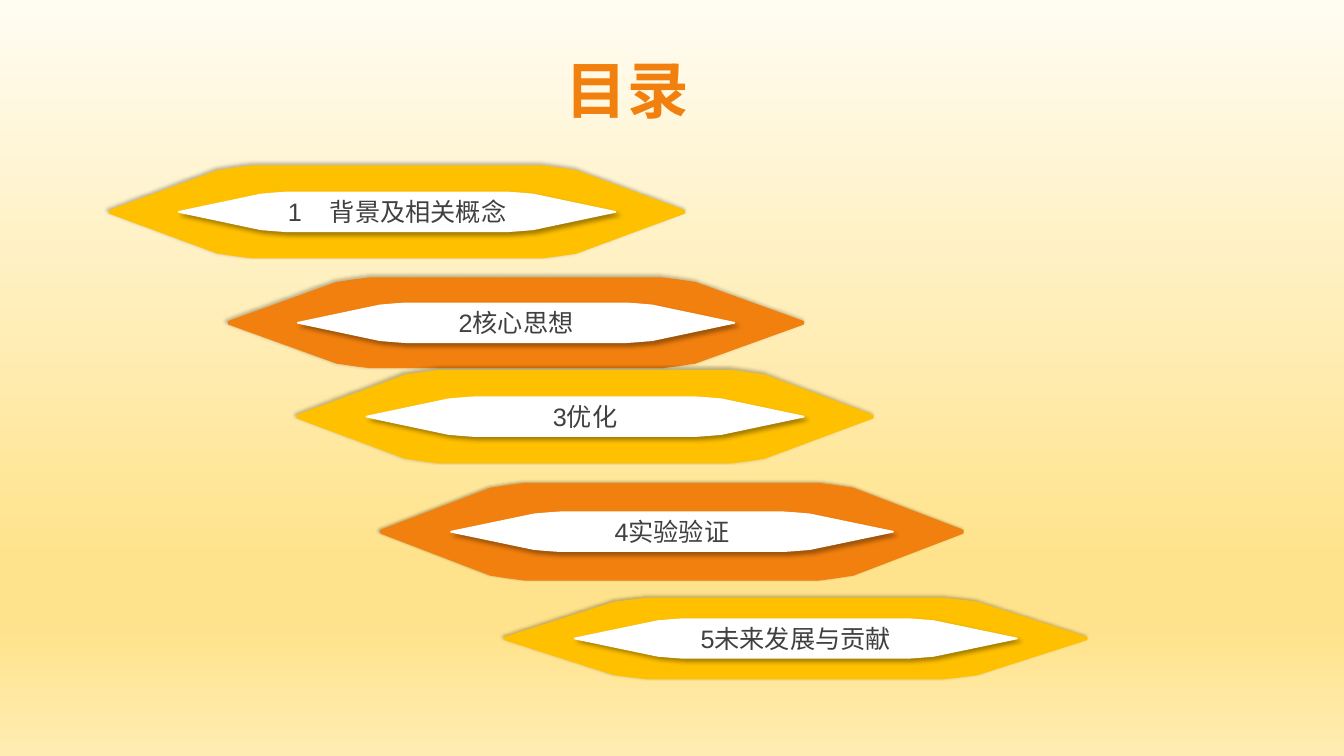
import pptx
import pptx.util
import pptx.dml.color
import pptx.enum.text
import pptx.oxml.ns
import lxml.etree

Cm, Pt = pptx.util.Cm, pptx.util.Pt
RGBColor = pptx.dml.color.RGBColor
qn = pptx.oxml.ns.qn
CENTER = pptx.enum.text.PP_ALIGN.CENTER
MIDDLE = pptx.enum.text.MSO_ANCHOR.MIDDLE

# Content
TITLE = "目录"
GOLD = RGBColor(0xFF, 0xC0, 0x00)
ORANGE = RGBColor(0xF2, 0x80, 0x0E)
WHITE = RGBColor(0xFF, 0xFF, 0xFF)
GREY = RGBColor(0x40, 0x40, 0x40)
BLACK = RGBColor(0x00, 0x00, 0x00)

# Text parts, colour, then left, top, width and height in cm
CHAPTERS = [
    (["1", " ", "背景及相关概念"], GOLD, (2.74, 4.17, 14.53, 2.34)),
    (["2核心思想"], ORANGE, (5.74, 6.99, 14.53, 2.29)),
    (["3优化"], GOLD, (7.47, 9.32, 14.55, 2.36)),
    (["4实验验证"], ORANGE, (9.58, 12.17, 14.71, 2.46)),
    (["5未来发展与贡献"], GOLD, (12.7, 15.06, 14.71, 2.06)),
]
BACKGROUND = [
    (0, RGBColor(0xFF, 0xFC, 0xF2)),
    (74, RGBColor(0xFF, 0xE3, 0x8C)),
    (83, RGBColor(0xFF, 0xE3, 0x8C)),
    (100, RGBColor(0xFF, 0xEC, 0xB2)),
]

# Formats
TITLE_FONT = {"name": "Arial", "size": Pt(44), "bold": True}
CHAPTER_FONT = {"name": "Arial", "size": Pt(18)}
BAND_SHADOW = {"opacity": 25, "offset": 2, "angle": 225}
LABEL_SHADOW = {"opacity": 35, "offset": 3, "angle": 45}
LABEL_WIDTH_SHARE = 0.76
LABEL_HEIGHT = 1.02
NUMBER_GAP = Pt(15)

# Upper left quarter of the spindle, from tip to top edge, as shares of its box
QUARTER = [(0, 0.5), (0.001, 0.48), (0.189, 0.05), (0.222, 0.02), (0.248, 0)]
SPINDLE = (
    QUARTER
    + [(1 - x, y) for x, y in reversed(QUARTER)]
    + [(1 - x, 1 - y) for x, y in QUARTER[1:]]
    + [(x, 1 - y) for x, y in reversed(QUARTER[1:])]
)


def add_element(parent, tag, **attributes):
    values = {name: str(value) for name, value in attributes.items()}
    return lxml.etree.SubElement(parent, qn(tag), values)


def format_font(span, values, color):
    for name, value in values.items():
        setattr(span.font, name, value)
    span.font.color.rgb = color


def add_spindle(group, box, color, shadow):
    left, top, width, height = box
    points = [(Cm(left + x * width), Cm(top + y * height)) for x, y in SPINDLE]
    builder = group.shapes.build_freeform(*points[0])
    builder.add_line_segments(points[1:], close=True)
    shape = builder.convert_to_shape()
    shape.fill.solid()
    shape.fill.fore_color.rgb = color
    shape.line.fill.background()
    shape.shadow.inherit = False
    effects = shape.element.spPr.find(qn("a:effectLst"))
    offset = Pt(shadow["offset"])
    outer = add_element(effects, "a:outerShdw", blurRad=offset, dist=offset,
                        dir=shadow["angle"] * 60000, algn="ctr", rotWithShape=0)
    tint = add_element(outer, "a:srgbClr", val=BLACK)
    add_element(tint, "a:alpha", val=shadow["opacity"] * 1000)
    return shape


def add_chapter(page, parts, color, box):
    left, top, width, height = box
    group = page.shapes.add_group_shape()
    add_spindle(group, box, color, BAND_SHADOW)

    # White label centred in the coloured band
    label_width = width * LABEL_WIDTH_SHARE
    label_box = (left + (width - label_width) / 2,
                 top + (height - LABEL_HEIGHT) / 2, label_width, LABEL_HEIGHT)
    label = add_spindle(group, label_box, WHITE, LABEL_SHADOW)
    label.text_frame.vertical_anchor = MIDDLE
    para = label.text_frame.paragraphs[0]
    para.alignment = CENTER
    for part in parts:
        span = para.add_run()
        span.text = part
        format_font(span, CHAPTER_FONT, GREY)
        if part == " ":
            span.font._element.set("spc", str(int(NUMBER_GAP.pt * 100)))


def paint_background(page):
    fill = page.background.fill
    fill.gradient()
    fill.gradient_angle = 270
    stops = page.element.find(".//" + qn("a:gsLst"))
    for stop in list(stops):
        stops.remove(stop)
    for position, color in BACKGROUND:
        stop = add_element(stops, "a:gs", pos=position * 1000)
        add_element(stop, "a:srgbClr", val=color)


def add_title(page):
    title = page.shapes.title
    title.left, title.top = Cm(8.92), Cm(1.22)
    title.width, title.height = Cm(13.77), Cm(2.29)
    title.text_frame.vertical_anchor = MIDDLE
    para = title.text_frame.paragraphs[0]
    para.alignment = CENTER
    para.line_spacing = 0.9
    span = para.add_run()
    span.text = TITLE
    format_font(span, TITLE_FONT, ORANGE)

    # Thin white outline around the letters
    outline = lxml.etree.Element(qn("a:ln"), w=str(Pt(0.75)))
    add_element(add_element(outline, "a:solidFill"), "a:srgbClr", val=WHITE)
    span.font._element.insert(0, outline)


def main():
    deck = pptx.Presentation()
    deck.slide_width, deck.slide_height = Cm(33.87), Cm(19.05)
    page = deck.slides.add_slide(deck.slide_layouts[5])
    paint_background(page)
    add_title(page)
    for parts, color, box in CHAPTERS:
        add_chapter(page, parts, color, box)
    deck.save("out.pptx")


if __name__ == "__main__":
    main()
